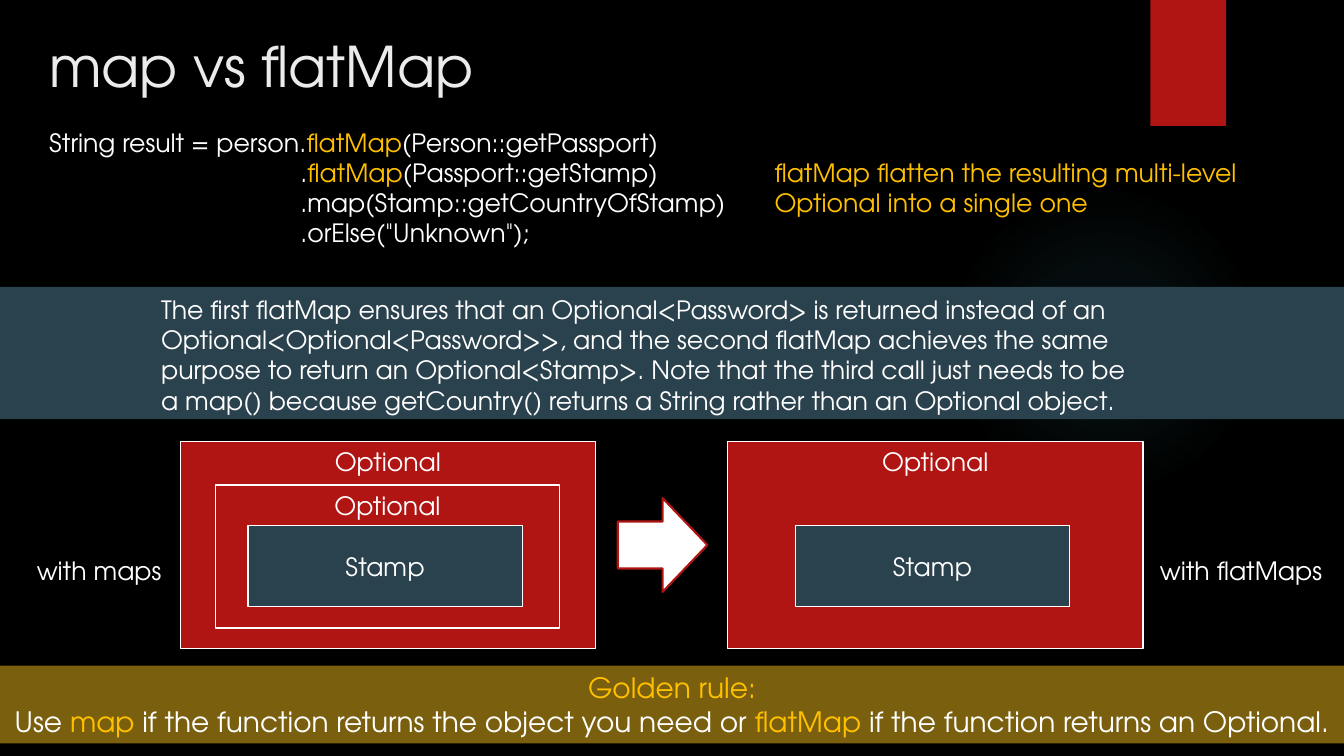
from dataclasses import dataclass

from lxml.etree import SubElement
from pptx import Presentation
from pptx.dml.color import RGBColor
from pptx.enum.shapes import MSO_SHAPE
from pptx.enum.text import MSO_ANCHOR, MSO_AUTO_SIZE, PP_ALIGN
from pptx.oxml.ns import qn
from pptx.shapes.autoshape import Shape
from pptx.slide import Slide
from pptx.text.text import TextFrame
from pptx.util import Pt

FONT = "TeX Gyre Adventor"
BLACK = RGBColor(0x00, 0x00, 0x00)
WHITE = RGBColor(0xFF, 0xFF, 0xFF)
TITLE_GREY = RGBColor(0xEB, 0xEB, 0xEB)
RED = RGBColor(0xB0, 0x15, 0x13)
SLATE = RGBColor(0x2A, 0x42, 0x4D)
GOLD = RGBColor(0xFF, 0xC0, 0x00)
DARK_GOLD = RGBColor(0x79, 0x5F, 0x0E)
GLOW = RGBColor(0x50, 0xB9, 0xC1)


@dataclass
class Box:
    left: float
    top: float
    width: float
    height: float


@dataclass
class Run:
    text: str
    color: RGBColor = WHITE


@dataclass
class Line:
    runs: list[Run]
    indent: float = 0


@dataclass
class Label:
    box: Box
    lines: list[Line]
    size: float = 18
    align: PP_ALIGN = PP_ALIGN.LEFT


def write_lines(frame: TextFrame, lines: list[Line], size: float, align: PP_ALIGN) -> None:
    frame.word_wrap = True
    for index, line in enumerate(lines):
        paragraph = frame.add_paragraph() if index else frame.paragraphs[0]
        paragraph.alignment = align
        paragraph.font.name = FONT
        paragraph.font.size = Pt(size)
        if line.indent:
            paragraph._p.get_or_add_pPr().set("marL", str(Pt(line.indent)))
        for part in line.runs:
            run = paragraph.add_run()
            run.text = part.text
            run.font.color.rgb = part.color


def add_label(slide: Slide, label: Label) -> None:
    box = label.box
    text_box = slide.shapes.add_textbox(Pt(box.left), Pt(box.top), Pt(box.width), Pt(box.height))
    write_lines(text_box.text_frame, label.lines, label.size, label.align)
    text_box.text_frame.auto_size = MSO_AUTO_SIZE.SHAPE_TO_FIT_TEXT


def add_block(slide: Slide, box: Box, fill: RGBColor, outline: RGBColor | None = None,
              kind: MSO_SHAPE = MSO_SHAPE.RECTANGLE, weight: float = 1) -> Shape:
    shape = slide.shapes.add_shape(kind, Pt(box.left), Pt(box.top), Pt(box.width), Pt(box.height))
    shape.shadow.inherit = False
    shape.fill.solid()
    shape.fill.fore_color.rgb = fill
    if outline is None:
        shape.line.fill.background()
    else:
        shape.line.color.rgb = outline
        shape.line.width = Pt(weight)
    return shape


def add_glow(slide: Slide, box: Box) -> None:
    shape = add_block(slide, box, GLOW, kind=MSO_SHAPE.OVAL)
    shape.fill.gradient()
    gradient = shape._element.spPr.find(qn("a:gradFill"))
    for child in list(gradient):
        gradient.remove(child)
    stops = SubElement(gradient, qn("a:gsLst"))
    for position, opacity in ((0, 7), (36, 6), (69, 0)):
        stop = SubElement(stops, qn("a:gs"), pos=str(position * 1000))
        color = SubElement(stop, qn("a:srgbClr"), val=str(GLOW))
        SubElement(color, qn("a:alpha"), val=str(opacity * 1000))
    circle = SubElement(gradient, qn("a:path"), path="circle")
    SubElement(circle, qn("a:fillToRect"), l="50000", t="50000", r="50000", b="50000")


def add_optional(slide: Slide, box: Box) -> None:
    add_block(slide, box, RED, WHITE)
    add_label(slide, Label(Box(box.left, box.top, box.width, 29),
                           [Line([Run("Optional")])], align=PP_ALIGN.CENTER))


def add_stamp(slide: Slide, left: float) -> None:
    stamp = add_block(slide, Box(left, 375.6, 196, 57.5), SLATE, WHITE)
    write_lines(stamp.text_frame, [Line([Run("Stamp")])], 18, PP_ALIGN.CENTER)
    stamp.text_frame.vertical_anchor = MSO_ANCHOR.MIDDLE


CALL_INDENT = 179.5
LABELS = [
    # Title
    Label(Box(28, 18.8, 795.6, 63.4), [Line([Run("map vs flatMap", TITLE_GREY)])], 40),
    # Code
    Label(Box(28, 87.2, 884, 94.5), [
        Line([Run("String result = person."), Run("flatMap", GOLD), Run("(Person::getPassport)")]),
        Line([Run("."), Run("flatMap", GOLD), Run("(Passport::getStamp)")], CALL_INDENT),
        Line([Run(".map(Stamp::getCountryOfStamp)")], CALL_INDENT),
        Line([Run('.orElse("Unknown");')], CALL_INDENT),
    ]),
    Label(Box(546.2, 109, 353.5, 51), [
        Line([Run("flatMap flatten the resulting multi-level Optional into a single one", GOLD)])]),
    # Explanation
    Label(Box(108, 206.7, 715.7, 94.5), [Line([Run(
        "The first flatMap ensures that an Optional<Password> is returned instead of an "
        "Optional<Optional<Password>>, and the second flatMap achieves the same purpose to "
        "return an Optional<Stamp>. Note that the third call just needs to be a map() because "
        "getCountry() returns a String rather than an Optional object.")])]),
    # Diagram captions
    Label(Box(19.2, 393.1, 114.5, 29), [Line([Run("with maps")])]),
    Label(Box(821.5, 393.1, 133.5, 29), [Line([Run("with flatMaps")])]),
]
GOLDEN_RULE = [
    Line([Run("Golden rule:", GOLD)]),
    Line([Run("Use "), Run("map ", GOLD),
          Run("if the function returns the object you need or "),
          Run("flatMap ", GOLD), Run("if the function returns an Optional.")]),
]


def main() -> None:
    presentation = Presentation()
    presentation.slide_width = Pt(960)
    presentation.slide_height = Pt(540)
    slide = presentation.slides.add_slide(presentation.slide_layouts[6])
    slide.background.fill.solid()
    slide.background.fill.fore_color.rgb = BLACK

    # Backdrop and bands
    add_glow(slide, Box(677.5, 131.8, 221.8, 221.8))
    add_block(slide, Box(821.8, 0, 54, 90), RED)
    add_block(slide, Box(0, 205, 960, 94.5), SLATE)
    rule_band = add_block(slide, Box(0, 475.4, 960, 55.7), DARK_GOLD)
    write_lines(rule_band.text_frame, GOLDEN_RULE, 20, PP_ALIGN.CENTER)
    rule_band.text_frame.vertical_anchor = MSO_ANCHOR.TOP

    # Nested Optional against a flat one
    for left, nested in ((128.8, True), (519.8, False)):
        add_optional(slide, Box(left, 315.2, 296.6, 148))
        if nested:
            add_optional(slide, Box(left + 25.2, 346.5, 245.5, 102))
        add_stamp(slide, left + 48.3)
    add_block(slide, Box(441.3, 355.8, 64, 67), WHITE, RED, MSO_SHAPE.RIGHT_ARROW, 1.5)

    for label in LABELS:
        add_label(slide, label)

    presentation.save("out.pptx")


if __name__ == "__main__":
    main()
